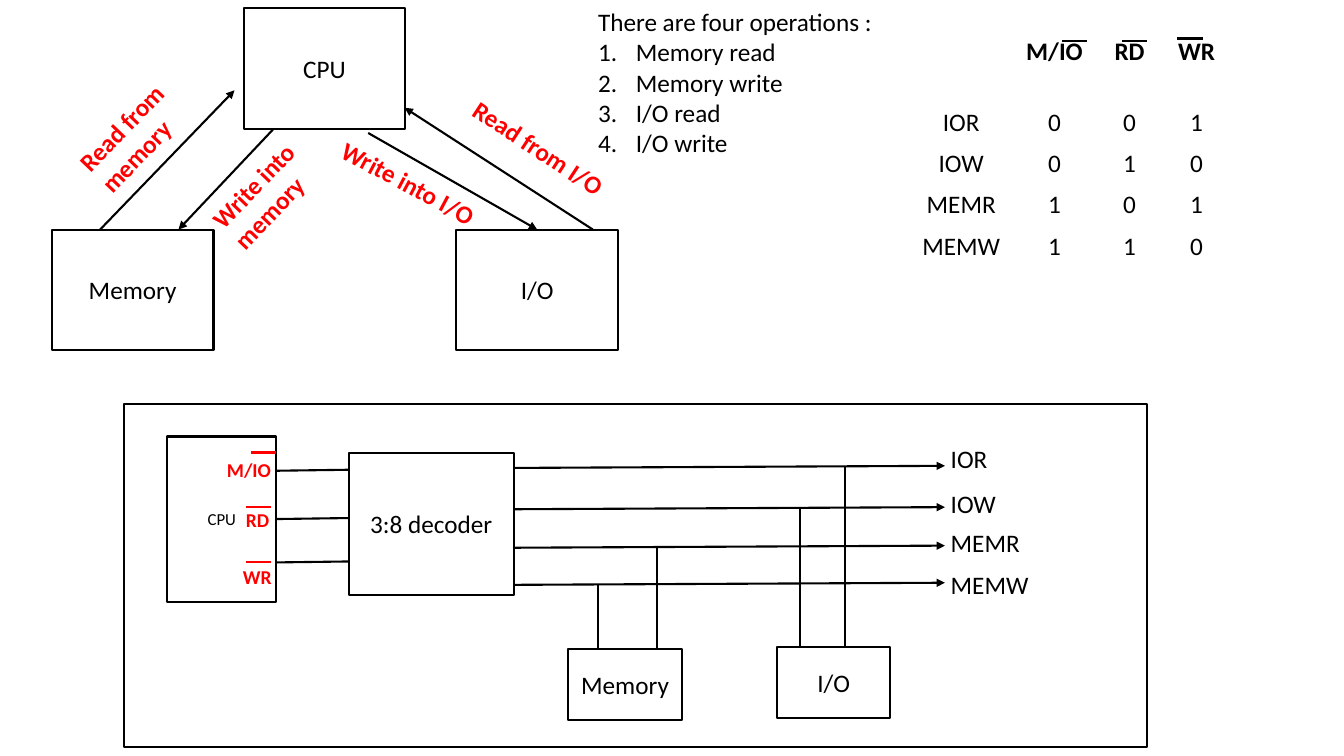
from lxml import etree
from pptx import Presentation
from pptx.dml import color
from pptx.enum import shapes, text
from pptx.oxml import ns
from pptx.util import Pt

BLACK, RED = "000000", "FF0000"
FONT = "Calibri"
OPERATIONS = ["Memory read", "Memory write", "I/O read", "I/O write"]
TRUTH_ROWS = [
    ["", "M/IO", "RD", "WR"],
    ["IOR", "0", "0", "1"],
    ["IOW", "0", "1", "0"],
    ["MEMR", "1", "0", "1"],
    ["MEMW", "1", "1", "0"],
]


def rgb(value):
    return color.RGBColor.from_string(value)


def add_child(parent, tag, **attributes):
    return etree.SubElement(parent, ns.qn(tag), attributes)


def write(paragraph, words, size=18, ink=BLACK, bold=False, align=None):
    paragraph.alignment = align
    run = paragraph.add_run()
    run.text = words
    run.font.name = FONT
    run.font.size = Pt(size)
    run.font.bold = bold
    run.font.color.rgb = rgb(ink)


def add_block(slide, left, top, width, height, words="", size=18):
    block = slide.shapes.add_shape(
        shapes.MSO_SHAPE.RECTANGLE, Pt(left), Pt(top), Pt(width), Pt(height))
    block.shadow.inherit = False
    block.fill.background()
    block.line.color.rgb = rgb(BLACK)
    block.line.width = Pt(1.5)
    if words:
        block.text_frame.vertical_anchor = text.MSO_ANCHOR.MIDDLE
        write(block.text_frame.paragraphs[0], words, size, align=text.PP_ALIGN.CENTER)
    return block


def add_label(slide, left, top, width, height, words, size=18, ink=BLACK,
              bold=False, wrap=False, rotation=0):
    label = slide.shapes.add_textbox(Pt(left), Pt(top), Pt(width), Pt(height))
    label.rotation = rotation
    label.text_frame.word_wrap = wrap
    write(label.text_frame.paragraphs[0], words, size, ink, bold)


def add_wire(slide, x1, y1, x2, y2, ink=BLACK, arrow=False):
    wire = slide.shapes.add_connector(
        shapes.MSO_CONNECTOR.STRAIGHT, Pt(x1), Pt(y1), Pt(x2), Pt(y2))
    wire.line.color.rgb = rgb(ink)
    wire.line.width = Pt(1.5)
    if arrow:
        add_child(wire.line._get_or_add_ln(), "a:tailEnd", type="triangle")
    add_child(wire._element.spPr, "a:effectLst")
    return wire


def add_transfer_diagram(slide, left, top):
    width, height = 115.5, 86
    add_block(slide, left + 137, top, width, height, "CPU")
    add_block(slide, left, top + 158, width, height, "Memory")
    ports = add_block(slide, left + 289, top + 158, width, height, "I/O")
    transfers = [
        ("Read from memory", (34.5, 158, 130.5, 58.5), (6, 55, 126.5), -46.3),
        ("Write into memory", (158, 86.5, 90.5, 158), (101, 95.5, 126.5), -46.3),
        ("Write into I/O", (226, 89, 346.75, 158), (190, 110.5, 124.5), 28.1),
        ("Read from I/O", (386.5, 158, 252, 71), (281, 84.5, 124.5), 33.3),
    ]
    for words, (x1, y1, x2, y2), (x, y, label_width), rotation in transfers:
        arrow = add_wire(slide, left + x1, top + y1, left + x2, top + y2, arrow=True)
        if words == "Write into I/O":
            arrow.end_connect(ports, 0)
        add_label(slide, left + x, top + y, label_width, 50.5, words,
                  ink=RED, bold=True, wrap=True, rotation=rotation)


def add_operations(slide, left, top, width, height):
    body = slide.placeholders[1]
    body.left, body.top, body.width, body.height = map(Pt, (left, top, width, height))
    frame = body.text_frame
    frame.auto_size = text.MSO_AUTO_SIZE.NONE
    for index, words in enumerate(["There are four operations :"] + OPERATIONS):
        paragraph = frame.paragraphs[0] if index == 0 else frame.add_paragraph()
        write(paragraph, words)
        paragraph.space_before = Pt(0)
        properties = paragraph._p.get_or_add_pPr()
        indent = Pt(27) if index else 0
        properties.set("marL", str(indent))
        properties.set("indent", str(-indent))
        if index:
            add_child(properties, "a:buFont", typeface="+mj-lt")
            add_child(properties, "a:buAutoNum", type="arabicPeriod")
        else:
            add_child(properties, "a:buNone")


def add_truth_table(slide, left, top):
    widths = [74.25, 59, 48.25, 47.5]
    heights = [50.5, 29.5, 29.5, 29.5, 50.5]
    table = slide.shapes.add_table(
        len(heights), len(widths), Pt(left), Pt(top),
        Pt(sum(widths)), Pt(sum(heights))).table
    table.first_row = table.horz_banding = False
    for column, width in zip(table.columns, widths):
        column.width = Pt(width)
    for row, height, values in zip(table.rows, heights, TRUTH_ROWS):
        row.height = Pt(height)
        for cell, value in zip(row.cells, values):
            cell.fill.background()
            if value:
                write(cell.text_frame.paragraphs[0], value,
                      bold=values is TRUTH_ROWS[0], align=text.PP_ALIGN.CENTER)
    for x, y in [(109, 6.5), (152, 6.5), (191.5, 5)]:
        add_wire(slide, left + x, top + y, left + x + 18, top + y)


def add_decoder_circuit(slide, left, top, width, height):
    add_block(slide, left, top, width, height)
    cpu = add_block(slide, left + 31, top + 23, 78, 118, "CPU", 12)
    add_block(slide, left + 160.5, top + 34.5, 118, 101.5, "3:8 decoder")
    signals = [
        ("M/IO", (66.5, 34.5), (91, 34.5), 47.5),
        ("RD", (80, 70.5), (87, 73.5), 82),
        ("WR", (78, 111.5), (87, 112.5), 113),
    ]
    for name, (x, y), (bar_x, bar_y), wire_y in signals:
        add_label(slide, left + x, top + y, 47, 24, name, 14, RED, True)
        add_wire(slide, left + bar_x, top + bar_y, left + bar_x + 18, top + bar_y, RED)
        wire = add_wire(slide, left + 109, top + wire_y, left + 160.5, top + wire_y - 0.7)
        if name == "RD":
            wire.begin_connect(cpu, 3)
    memory_top, ports_top = 175, 173.5
    add_block(slide, left + 317.5, top + memory_top, 81, 50.5, "Memory")
    add_block(slide, left + 466.5, top + ports_top, 81, 50.5, "I/O")
    outputs = [
        ("IOR", 45.5, 24.5, 515, ports_top),
        ("IOW", 75, 56.5, 483, ports_top),
        ("MEMR", 102.5, 84.5, 381, memory_top),
        ("MEMW", 129, 114.5, 338.5, memory_top),
    ]
    for name, y, label_y, tap_x, tap_end in outputs:
        add_wire(slide, left + 278.5, top + y, left + 586.5, top + y - 1.5, arrow=True)
        add_label(slide, left + 586.5 - 3, top + label_y, 74, 29, name)
        add_wire(slide, left + tap_x, top + y - 0.8, left + tap_x, top + tap_end)


def main():
    deck = Presentation()
    deck.slide_width, deck.slide_height = Pt(960), Pt(540)
    slide = deck.slides.add_slide(deck.slide_layouts[1])
    heading = slide.shapes.title._element
    heading.getparent().remove(heading)
    add_transfer_diagram(slide, 37, 6)
    add_operations(slide, 420, 1, 313, 137)
    add_truth_table(slide, 649.5, 22.5)
    add_decoder_circuit(slide, 88.5, 288.75, 731, 245)
    deck.save("out.pptx")


if __name__ == "__main__":
    main()
